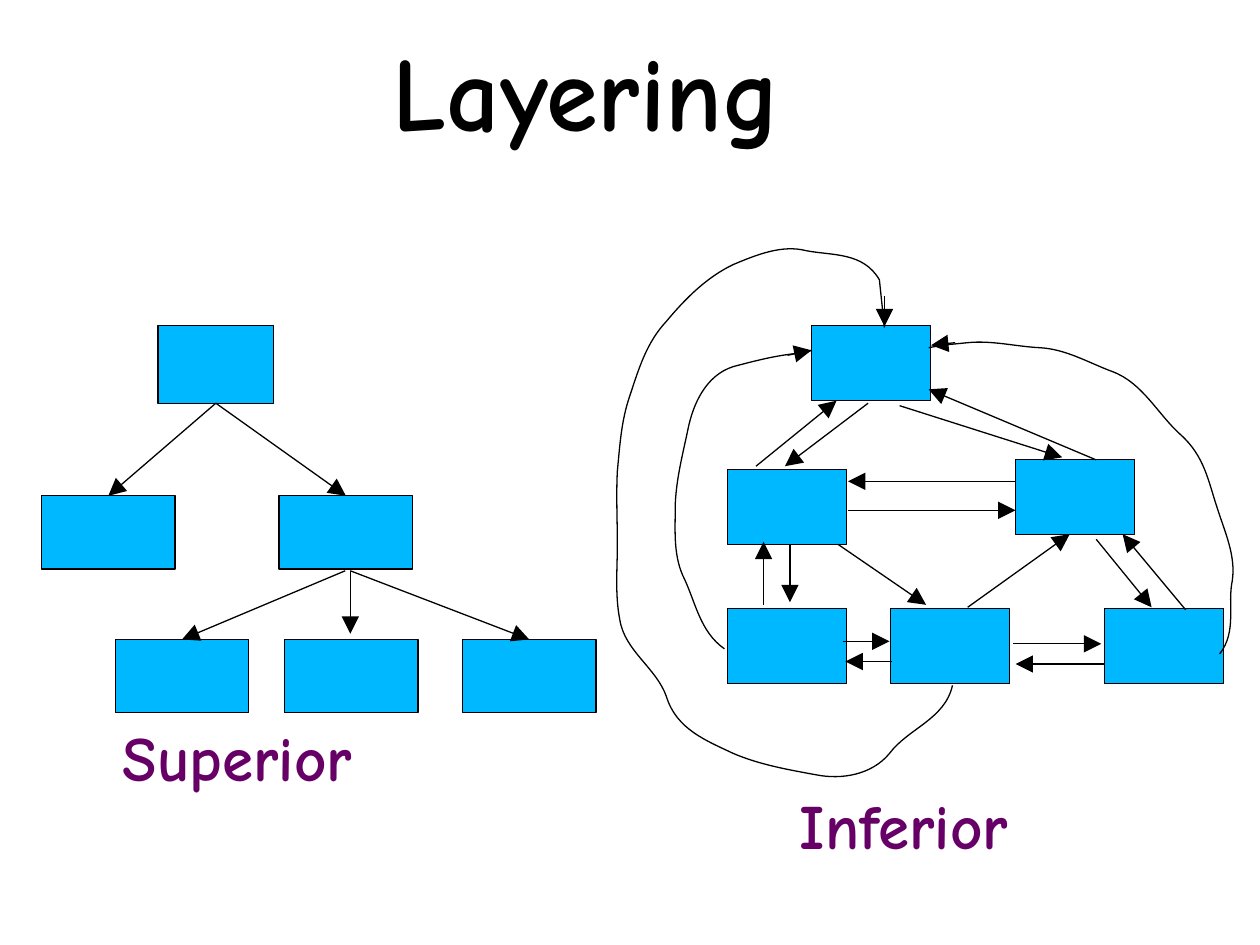
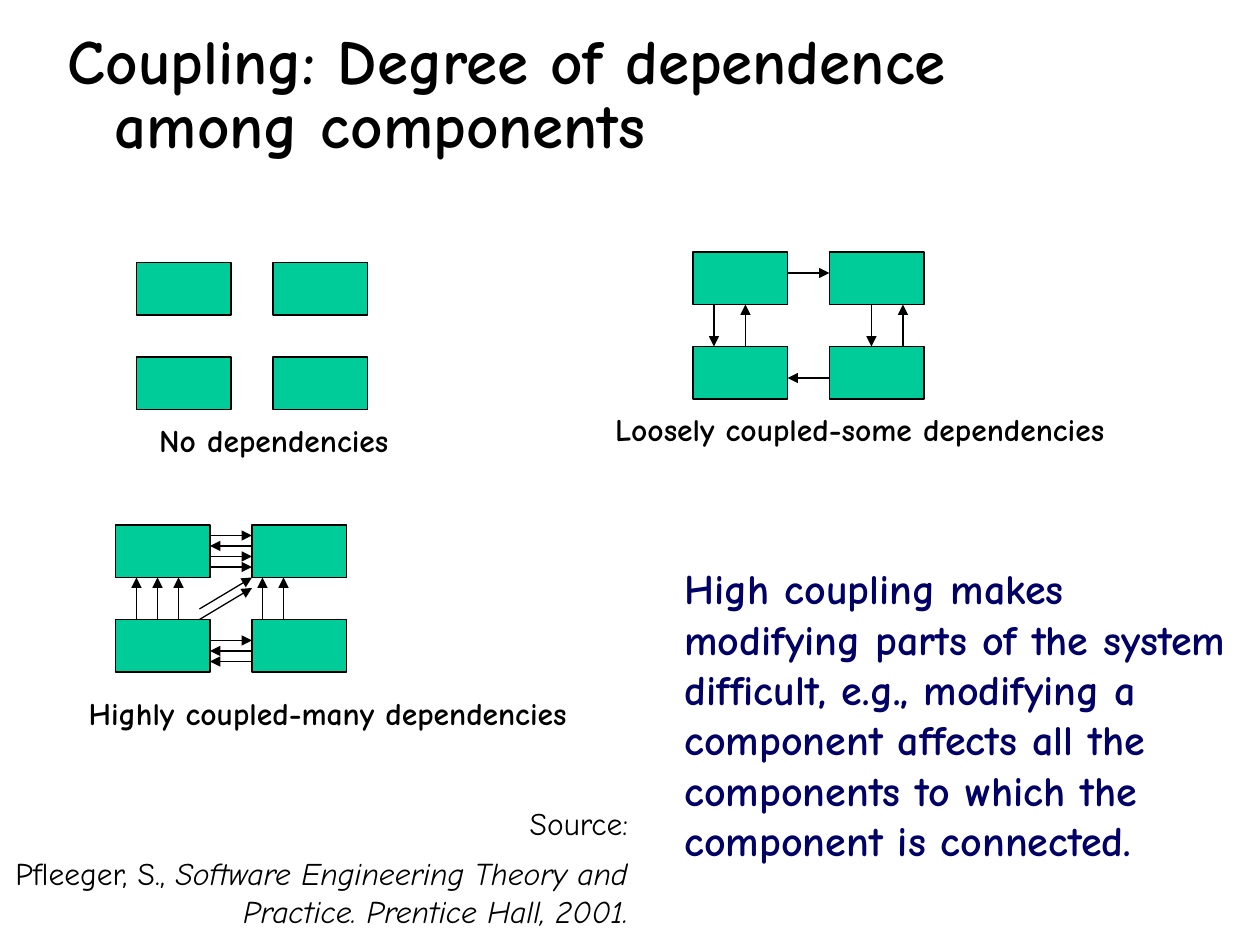
from dataclasses import dataclass

from lxml import etree
from pptx import Presentation
from pptx import util as u
from pptx.dml import color
from pptx.enum import shapes, text
from pptx.oxml import ns

WIDTH, HEIGHT = u.Inches(10), u.Inches(7.5)


@dataclass(frozen=True)
class Theme:
    font: str = "Comic Neue"
    ink: str = "000000"
    layer: str = "00B8FF"
    component: str = "00CC99"
    verdict: str = "660066"
    remark: str = "000066"
    display: int = 60
    heading: int = 36
    body: int = 24
    small: int = 18
    stroke: float = 0.75
    hanging: int = 27


@dataclass(frozen=True)
class Grid:
    columns: int
    rows: int

    def point(self, column, row):
        return round(WIDTH * column / self.columns), round(HEIGHT * row / self.rows)

    def area(self, column, row, columns, rows):
        return *self.point(column, row), *self.point(columns, rows)


@dataclass(frozen=True)
class Joint:
    box: object
    side: int


THEME = Theme()
TENTHS = Grid(100, 75)
TWELFTHS = Grid(120, 90)
TOP, LEFT, BOTTOM, RIGHT = range(4)


def rgb(value):
    return color.RGBColor.from_string(value)


def stroke(line):
    line.color.rgb = rgb(THEME.ink)
    line.width = u.Pt(THEME.stroke)


def write(paragraph, words, size, hue=THEME.ink, bold=True, italic=False):
    run = paragraph.add_run()
    run.text = words
    font = run.font
    font.name, font.size, font.bold, font.italic = THEME.font, u.Pt(size), bold, italic
    font.color.rgb = rgb(hue)


def set_title(slide, grid, area, words, size, align, inset):
    title = slide.shapes.title
    title.left, title.top, title.width, title.height = grid.area(*area)
    frame = title.text_frame
    frame.auto_size = text.MSO_AUTO_SIZE.NONE
    frame.vertical_anchor = text.MSO_ANCHOR.MIDDLE
    frame.margin_left = frame.margin_right = u.Inches(inset)
    frame.margin_top = frame.margin_bottom = u.Inches(inset / 2)
    paragraph = frame.paragraphs[0]
    paragraph.alignment, paragraph.line_spacing = align, 0.85
    properties = paragraph._p.get_or_add_pPr()
    properties.set("marL", str(u.Pt(THEME.hanging)))
    properties.set("indent", str(-u.Pt(THEME.hanging)))
    write(paragraph, words, size)


def add_frame(slide, grid, area, wrap=True):
    frame = slide.shapes.add_textbox(*grid.area(*area)).text_frame
    frame.word_wrap = wrap
    return frame


def add_label(slide, grid, area, words, size, hue=THEME.ink, wrap=True):
    frame = add_frame(slide, grid, area, wrap)
    frame.auto_size = text.MSO_AUTO_SIZE.SHAPE_TO_FIT_TEXT
    write(frame.paragraphs[0], words, size, hue)


def add_box(slide, grid, area, fill, outline):
    box = slide.shapes.add_shape(outline, *grid.area(*area))
    box.shadow.inherit = False
    box.fill.solid()
    box.fill.fore_color.rgb = rgb(fill)
    stroke(box.line)
    return box


def add_layer(slide, area):
    box = add_box(slide, TENTHS, area, THEME.layer, shapes.MSO_SHAPE.ROUNDED_RECTANGLE)
    box.adjustments[0] = 0
    return box


def add_arrow(slide, grid, start, end, head="med"):
    ends = [(0, 0) if isinstance(e, Joint) else grid.point(*e) for e in (start, end)]
    arrow = slide.shapes.add_connector(shapes.MSO_CONNECTOR.STRAIGHT, *ends[0], *ends[1])
    if isinstance(start, Joint):
        arrow.begin_connect(start.box, start.side)
    if isinstance(end, Joint):
        arrow.end_connect(end.box, end.side)
    stroke(arrow.line)
    etree.SubElement(arrow.line._get_or_add_ln(), ns.qn("a:tailEnd"),
                     type="triangle", w=head, len=head)
    etree.SubElement(arrow._element.spPr, ns.qn("a:effectLst"))


def add_loop(slide, grid, start, bends, straights):
    nodes = [bend[-1] for bend in bends] + straights
    outline = slide.shapes.build_freeform(*grid.point(*start))
    outline.add_line_segments([grid.point(*node) for node in nodes], close=False)
    loop = outline.convert_to_shape()
    segments = list(loop._element.iter(ns.qn("a:lnTo")))
    for segment, bend in zip(segments, bends):
        curve = etree.Element(ns.qn("a:cubicBezTo"))
        for x, y in (grid.point(*p) for p in bend):
            etree.SubElement(curve, ns.qn("a:pt"), x=str(x - loop.left), y=str(y - loop.top))
        segment.getparent().replace(segment, curve)
    loop.shadow.inherit = False
    loop.fill.background()
    stroke(loop.line)


def add_superior(slide):
    root = add_layer(slide, (12.53, 25.85, 9.2, 6.15))
    middle = [add_layer(slide, (x, 39.35, 10.6, 5.8)) for x in (3.3, 22.15)]
    leaves = [add_layer(slide, (x, 50.75, 10.6, 5.8)) for x in (9.15, 22.57, 36.7)]
    branches = [(Joint(root, BOTTOM), Joint(child, TOP)) for child in middle]
    branches += [
        ((27.4, 45.3), Joint(leaves[0], TOP)),
        ((27.8, 45.3), (27.8, 50.3)),
        ((27.8, 45.3), Joint(leaves[2], TOP)),
    ]
    for start, end in branches:
        add_arrow(slide, TENTHS, start, end, "lg")
    add_label(slide, TENTHS, (8.75, 56.5, 28, 7), "Superior", THEME.heading, THEME.verdict)


def add_inferior(slide):
    for x, y in ((64.4, 25.85), (80.6, 36.45), (87.65, 48.3),
                 (70.7, 48.3), (57.72, 48.3), (57.72, 37.25)):
        add_layer(slide, (x, y, 9.45, 5.95))
    calls = [
        ((68.9, 32), (62.3, 37)),
        ((62.7, 43.2), (62.7, 47.8)),
        ((67.3, 40.5), (80.6, 40.5)),
        ((66.5, 43.2), (73.5, 48)),
        ((71.4, 32.2), (84.3, 36.3)),
        ((87, 42.8), (91.4, 48.2)),
        ((76.8, 48.2), (84.9, 42.4)),
        ((60, 37), (66.4, 31.8)),
        ((80.6, 38.2), (67.3, 38.2)),
        ((87, 36.5), (73.7, 30.9)),
        ((60.6, 48), (60.6, 43)),
        ((94.1, 48.4), (89.1, 42.4)),
        ((62.5, 28.2), (64.4, 27.8)),
        ((75.8, 27.2), (73.9, 27.4)),
        ((70.2, 23.5), (70.2, 25.9)),
        ((80.4, 51.1), (87.4, 51.1)),
        ((87.6, 52.7), (80.6, 52.7)),
        ((66.9, 50.9), (70.6, 50.9)),
        ((70.8, 52.5), (67.1, 52.5)),
    ]
    for start, end in calls:
        add_arrow(slide, TENTHS, start, end, "lg")
    add_loop(slide, TENTHS, (57.5, 51.5), [
        ((55.5, 50.1), (55.2, 47.7), (54.2, 45.7)),
        ((53.4, 43.9), (53.6, 41.9), (53.6, 39.9)),
        ((53.7, 37.9), (54.2, 36), (54.6, 34.1)),
        ((55, 32.1), (56, 29.8), (58.2, 29.1)),
        ((60.1, 28.6), (62, 28.1), (64, 28)),
    ], [(64.4, 27.8)])
    add_loop(slide, TENTHS, (96.8, 51.9), [
        ((98.2, 50.1), (97.4, 48), (97.8, 46.1)),
        ((98.1, 44.1), (97.2, 42.2), (96.6, 40.3)),
        ((95.9, 38.2), (95.6, 36.2), (93.7, 34.5)),
        ((91.9, 32.9), (90.7, 30.4), (88.3, 29.5)),
        ((86.4, 28.8), (84.6, 27.7), (82.5, 27.6)),
        ((80.6, 27.5), (78.7, 27), (76.8, 27.2)),
    ], [(74.8, 27.4), (73.7, 27.6)])
    add_loop(slide, TENTHS, (75.6, 54.4), [
        ((75, 57.1), (72.1, 57.8), (70.6, 59.8)),
        ((69.2, 61.5), (66.8, 61.9), (64.8, 61.5)),
        ((62.6, 61.1), (60.3, 60.7), (58.2, 59.8)),
        ((56.1, 58.8), (53.7, 57.9), (52.9, 55.3)),
        ((52.1, 53), (49.6, 51.7), (49.2, 49.2)),
        ((48.8, 47.2), (49, 45.2), (49, 43.2)),
        ((49, 41.3), (48.9, 39.3), (49, 37.4)),
        ((49.2, 35.4), (49.3, 33.4), (50, 31.4)),
        ((50.7, 29.3), (51.3, 27.2), (52.9, 25.5)),
        ((54.4, 23.7), (56.1, 22), (58.2, 21)),
        ((60.1, 20.2), (62.1, 19.4), (64, 19.9)),
        ((66.1, 20.3), (68.5, 20), (69.8, 22.2)),
    ], [(70, 24.1), (70.2, 26)])
    add_label(slide, TENTHS, (62.5, 61.9, 28, 7), "Inferior", THEME.heading, THEME.verdict)


def add_cluster(slide, column, row, caption, caption_area,
                right=(), left=(), up=(), down=(), slanted=()):
    wide, high, gap = 9, 5, 4
    far_column, far_row = wide + gap, high + gap
    for x in (0, far_column):
        for y in (0, far_row):
            add_box(slide, TWELFTHS, (column + x, row + y, wide, high),
                    THEME.component, shapes.MSO_SHAPE.RECTANGLE)
    dependencies = [
        *(((wide, y), (far_column, y)) for y in right),
        *(((far_column, y), (wide, y)) for y in left),
        *(((x, far_row), (x, high)) for x in up),
        *(((x, high), (x, far_row)) for x in down),
        *(((wide - 1, y), (far_column, y - 3)) for y in slanted),
    ]
    for (x1, y1), (x2, y2) in dependencies:
        add_arrow(slide, TWELFTHS, (column + x1, row + y1), (column + x2, row + y2))
    add_label(slide, TWELFTHS, caption_area, caption, THEME.small, wrap=False)


def add_citation(slide):
    frame = add_frame(slide, TWELFTHS, (0, 76, 61, 14))
    heading, reference = frame.paragraphs[0], frame.add_paragraph()
    for paragraph in (heading, reference):
        paragraph.alignment = text.PP_ALIGN.RIGHT
        paragraph.space_after = u.Pt(2.2)
    reference.space_before = u.Pt(4.5)
    write(heading, "Source:", THEME.small, bold=False)
    write(reference, "Pfleeger, S., ", THEME.small, bold=False)
    write(reference, "Software Engineering Theory and Practice. Prentice Hall, 2001.",
          THEME.small, bold=False, italic=True)


def build_layering(slide):
    set_title(slide, TENTHS, (4.05, 1.65, 85, 12.5), "Layering",
              THEME.display, text.PP_ALIGN.CENTER, 0)
    add_superior(slide)
    add_inferior(slide)


def build_coupling(slide):
    set_title(slide, TWELFTHS, (5.25, 1.75, 102, 15),
              "Coupling: Degree of dependence among components",
              THEME.heading, text.PP_ALIGN.LEFT, 0.1)
    add_cluster(slide, 13, 25, "No dependencies", (13.98, 39.5, 24.2, 4.8))
    add_cluster(slide, 66, 24, "Loosely coupled-some dependencies", (57.4, 38.5, 49, 4.8),
                right=[2], left=[12], up=[5, 20], down=[2, 17])
    add_cluster(slide, 11, 50, "Highly coupled-many dependencies", (7.25, 65.5, 47.9, 4.8),
                right=[1, 3, 4, 11], left=[2, 12, 13], up=[2, 4, 6, 14, 16], slanted=[8, 9])
    add_label(slide, TWELFTHS, (64, 53, 56, 30),
              "High coupling makes modifying parts of the system difficult, e.g., "
              "modifying a component affects all the components to which the "
              "component is connected.", THEME.body, THEME.remark)
    add_citation(slide)


def main():
    deck = Presentation()
    deck.slide_width, deck.slide_height = WIDTH, HEIGHT
    title_only = deck.slide_layouts[5]
    for build in (build_layering, build_coupling):
        build(deck.slides.add_slide(title_only))
    deck.save("out.pptx")


if __name__ == "__main__":
    main()
